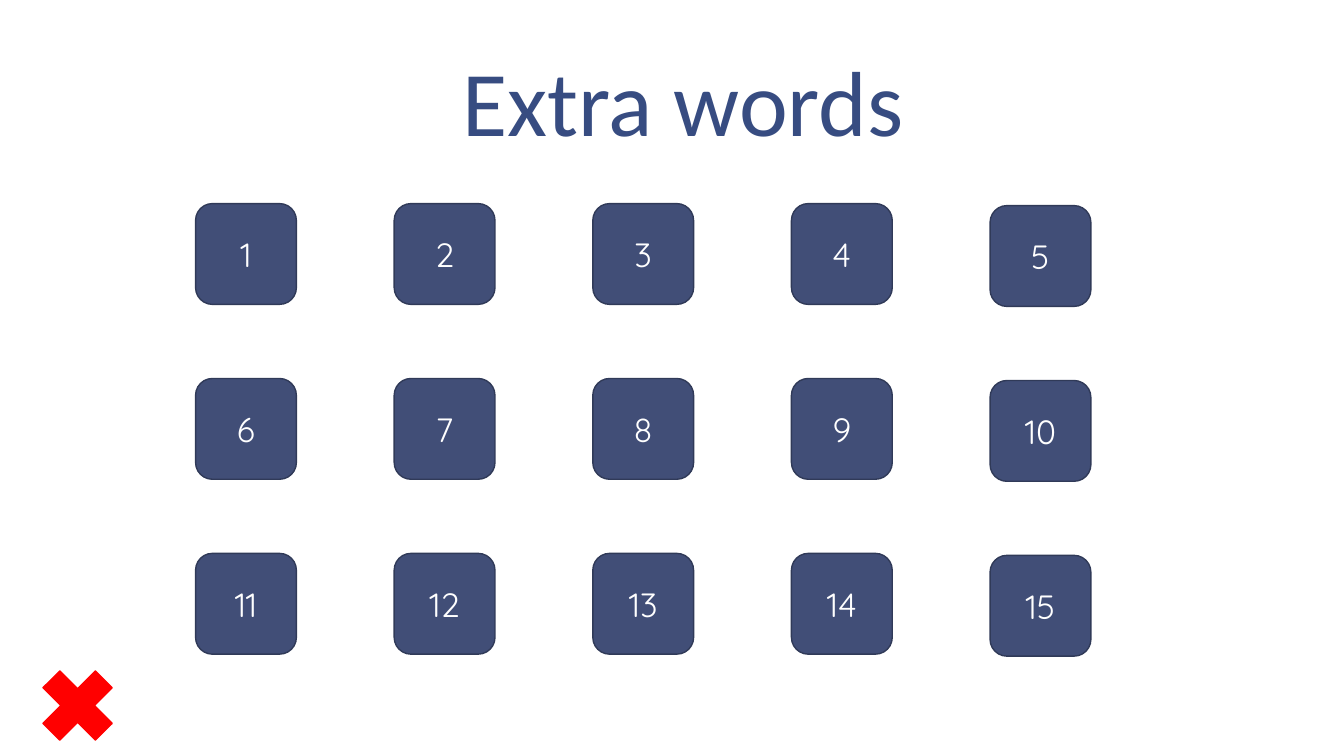
from dataclasses import dataclass

import pptx
import pptx.dml.color
import pptx.enum.shapes
import pptx.enum.text
import pptx.util

TITLE = "Extra words"
ROWS, COLUMNS = 3, 5
NUMBERS = [str(number) for number in range(1, ROWS * COLUMNS + 1)]

SLIDE_SIZE = (13.33, 7.5)
TITLE_AREA = (1.22, 0.08, 11.11, 1.53)
GRID_LEFT, GRID_TOP = 1.94, 2.02
COLUMN_STEP, ROW_STEP = 1.97, 1.735
TILE_SIZE = 1
LAST_COLUMN_DROP = 0.02
CROSS_AREA = (0.27, 6.5, 1, 1)


@dataclass(frozen=True)
class Theme:
    background: str = "FFFFFF"
    title: str = "374C81"
    tile: str = "414E77"
    tile_edge: str = "303A58"
    number: str = "FFFFFF"
    cross: str = "FF0000"
    title_font: str = "Calibri"
    number_font: str = "Quicksand"
    title_size: int = 66
    number_size: int = 24
    edge_width: int = 1


THEME = Theme()
SHAPES = pptx.enum.shapes.MSO_SHAPE
ANCHOR = pptx.enum.text.MSO_ANCHOR


def color(value):
    return pptx.dml.color.RGBColor.from_string(value)


def inches(values):
    return [pptx.util.Inches(value) for value in values]


def write(box, text, anchor, font_name, size, font_color):
    """Put one centred run in the box and return its paragraph."""
    frame = box.text_frame
    frame.word_wrap = True
    frame.auto_size = pptx.enum.text.MSO_AUTO_SIZE.NONE
    frame.vertical_anchor = anchor
    para = frame.paragraphs[0]
    para.alignment = pptx.enum.text.PP_ALIGN.CENTER
    span = para.add_run()
    span.text = text
    span.font.name = font_name
    span.font.size = pptx.util.Pt(size)
    span.font.color.rgb = color(font_color)
    return para


def add_shape(page, kind, area, fill, edge):
    shape = page.shapes.add_shape(kind, *inches(area))
    shape.shadow.inherit = False
    shape.fill.solid()
    shape.fill.fore_color.rgb = color(fill)
    shape.line.color.rgb = color(edge)
    shape.line.width = pptx.util.Pt(THEME.edge_width)
    return shape


def add_title(page):
    box = page.shapes.title
    box.left, box.top, box.width, box.height = inches(TITLE_AREA)
    para = write(box, TITLE, ANCHOR.BOTTOM, THEME.title_font,
                 THEME.title_size, THEME.title)
    para.line_spacing = 0.85
    frame = box.text_frame
    frame.margin_left = frame.margin_right = pptx.util.Inches(0.13)
    frame.margin_top = frame.margin_bottom = pptx.util.Inches(0.07)


def add_tiles(page):
    for index, number in enumerate(NUMBERS):
        row, column = divmod(index, COLUMNS)
        left = GRID_LEFT + column * COLUMN_STEP
        top = GRID_TOP + row * ROW_STEP
        if column == COLUMNS - 1:
            top += LAST_COLUMN_DROP
        tile = add_shape(page, SHAPES.ROUNDED_RECTANGLE,
                         (left, top, TILE_SIZE, TILE_SIZE),
                         THEME.tile, THEME.tile_edge)
        write(tile, number, ANCHOR.MIDDLE, THEME.number_font,
              THEME.number_size, THEME.number)


def main():
    deck = pptx.Presentation()
    deck.slide_width, deck.slide_height = inches(SLIDE_SIZE)
    page = deck.slides.add_slide(deck.slide_layouts.get_by_name("Title Only"))
    page.background.fill.solid()
    page.background.fill.fore_color.rgb = color(THEME.background)
    add_title(page)
    add_tiles(page)
    add_shape(page, SHAPES.MATH_MULTIPLY, CROSS_AREA, THEME.cross, THEME.cross)
    deck.save("out.pptx")


if __name__ == "__main__":
    main()
